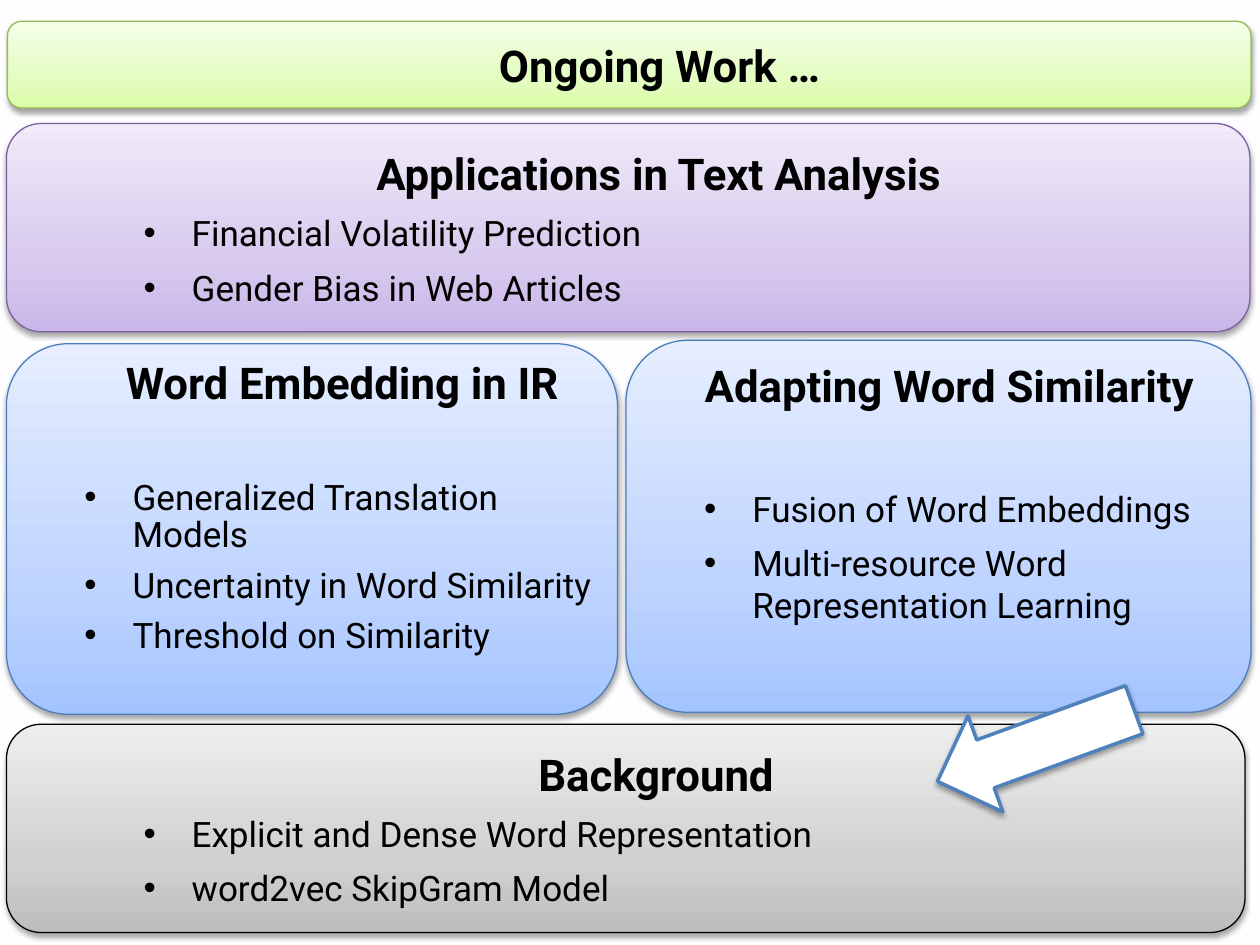
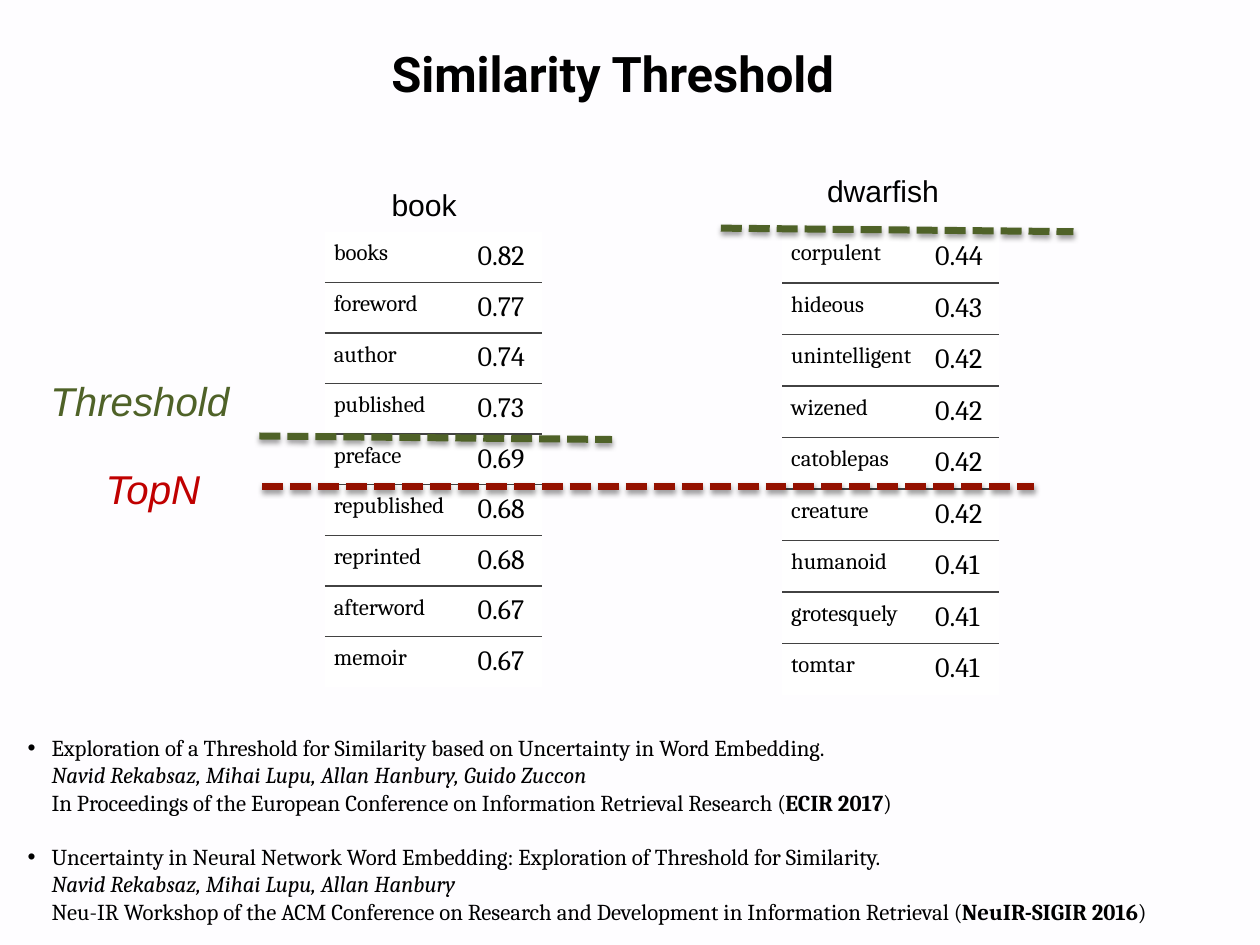
from copy import deepcopy

from lxml import etree
from pptx import Presentation
from pptx.dml.color import RGBColor
from pptx.enum.dml import MSO_LINE
from pptx.enum.shapes import MSO_CONNECTOR, MSO_SHAPE
from pptx.enum.text import MSO_ANCHOR, PP_ALIGN
from pptx.oxml import parse_xml
from pptx.oxml.ns import nsdecls, qn
from pptx.util import Cm, Pt

ROUNDED = MSO_SHAPE.ROUNDED_RECTANGLE
RIGHT_ARROW = MSO_SHAPE.RIGHT_ARROW
STRAIGHT = MSO_CONNECTOR.STRAIGHT
SQUARE_DASH = MSO_LINE.SQUARE_DOT
LEFT, CENTER, RIGHT = PP_ALIGN.LEFT, PP_ALIGN.CENTER, PP_ALIGN.RIGHT
TOP, MIDDLE = MSO_ANCHOR.TOP, MSO_ANCHOR.MIDDLE

BACKGROUND = RGBColor(0xFE, 0xFD, 0xFF)
BLACK = RGBColor(0, 0, 0)
WHITE = RGBColor(0xFF, 0xFF, 0xFF)
ARROW_BLUE = RGBColor(0x4F, 0x81, 0xBD)
RULE_GRAY = RGBColor(0x42, 0x42, 0x42)
THRESHOLD_GREEN = RGBColor(0x4F, 0x62, 0x28)
TOPN_RED = RGBColor(0xC0, 0x00, 0x00)
TOPN_LINE_RED = RGBColor(0x94, 0x11, 0x00)

# Each theme: gradient from bottom to top, then the outline
GRAY = [RGBColor.from_string(c) for c in ("BDBDBD", "D1D1D1", "EEEEEE", "000000")]
BLUE = [RGBColor.from_string(c) for c in ("A4C4FF", "BFD4FF", "E6EEFF", "4B7EBC")]
PURPLE = [RGBColor.from_string(c) for c in ("C9B5E8", "D8CBEE", "F0EAF9", "7D60A0")]
GREEN = [RGBColor.from_string(c) for c in ("DAFDA7", "E4FCC2", "F5FFE7", "98B955")]
GRADIENT_POSITIONS = (0, 0.35, 1)

HEADING_FONT, LABEL_FONT, BODY_FONT = "Roboto", "Arial", "Cambria"
NO_TABLE_STYLE = "{2D5ABB26-0587-4C30-8999-92F81FD0307C}"
ROW_HEIGHT = Cm(1.02)
COLUMN_WIDTHS = (Cm(2.9), Cm(1.47))

BOOK_NEIGHBOURS = [
    ("books", "0.82"), ("foreword", "0.77"), ("author", "0.74"),
    ("published", "0.73"), ("preface", "0.69"), ("republished", "0.68"),
    ("reprinted", "0.68"), ("afterword", "0.67"), ("memoir", "0.67"),
]
DWARFISH_NEIGHBOURS = [
    ("corpulent", "0.44"), ("hideous", "0.43"), ("unintelligent", "0.42"),
    ("wizened", "0.42"), ("catoblepas", "0.42"), ("creature", "0.42"),
    ("humanoid", "0.41"), ("grotesquely", "0.41"), ("tomtar", "0.41"),
]
# Title, authors, venue, short venue name
CITATIONS = [
    ("Exploration of a Threshold for Similarity based on Uncertainty in Word Embedding.",
     "Navid Rekabsaz, Mihai Lupu, Allan Hanbury, Guido Zuccon",
     "In Proceedings of the European Conference on Information Retrieval Research (",
     "ECIR 2017"),
    ("Uncertainty in Neural Network Word Embedding: Exploration of Threshold for Similarity.",
     "Navid Rekabsaz, Mihai Lupu, Allan Hanbury",
     "Neu-IR Workshop of the ACM Conference on Research and Development in "
     "Information Retrieval (",
     "NeuIR-SIGIR 2016"),
]


def add_shadow(shape, opacity=35):
    properties = shape._element.spPr
    for effects in properties.findall(qn("a:effectLst")):
        properties.remove(effects)
    properties.append(parse_xml(
        f'<a:effectLst {nsdecls("a")}><a:outerShdw blurRad="38100" dist="22860" '
        'dir="5400000" rotWithShape="0"><a:srgbClr val="000000">'
        f'<a:alpha val="{opacity * 1000}"/></a:srgbClr></a:outerShdw></a:effectLst>'))


def set_font(font, name, size, color=BLACK, bold=False, italic=False):
    font.name, font.size, font.bold, font.italic = name, Pt(size), bold, italic
    font.color.rgb = color


def set_indent(paragraph, margin, hanging=0, bullet=False):
    properties = paragraph._p.get_or_add_pPr()
    properties.set("marL", str(margin))
    properties.set("indent", str(-hanging))
    if bullet:
        etree.SubElement(properties, qn("a:buFont")).set("typeface", "Arial")
        etree.SubElement(properties, qn("a:buChar")).set("char", "•")


def set_insets(frame, left, top, right, bottom):
    frame.margin_left, frame.margin_top = left, top
    frame.margin_right, frame.margin_bottom = right, bottom


def fill_gradient(shape, colors):
    shape.fill.gradient()
    shape.fill.gradient_angle = 90
    stop_list = shape._element.spPr.find(".//" + qn("a:gsLst"))
    stop_list.append(deepcopy(stop_list[0]))
    for stop, position, color in zip(shape.fill.gradient_stops, GRADIENT_POSITIONS, colors):
        stop.position = position
        stop.color.rgb = color


def add_topic(slide, left, top, width, height, theme, heading, items=(), *,
              alignment=CENTER, anchor=MIDDLE, inset=Cm(0.13), bullet_margin=Cm(3.4),
              first_gap=7, line_spacing=1.0):
    """Rounded panel with a bold heading and bulleted topics."""
    panel = slide.shapes.add_shape(ROUNDED, left, top, width, height)
    fill_gradient(panel, theme)
    panel.line.color.rgb = theme[-1]
    panel.line.width = Pt(0.75)
    add_shadow(panel)
    frame = panel.text_frame
    frame.word_wrap = True
    frame.vertical_anchor = anchor
    set_insets(frame, inset, inset, inset, inset)
    paragraph = frame.paragraphs[0]
    paragraph.text = heading
    paragraph.alignment = alignment
    paragraph.line_spacing = line_spacing
    set_indent(paragraph, Cm(1.22))
    set_font(paragraph.font, HEADING_FONT, 25, bold=True)
    for index, item in enumerate(items):
        paragraph = frame.add_paragraph()
        paragraph.text = item
        paragraph.alignment = LEFT
        paragraph.line_spacing = line_spacing
        paragraph.space_before = Pt(7 if index else first_gap)
        set_indent(paragraph, bullet_margin, Cm(0.97), bullet=True)
        set_font(paragraph.font, HEADING_FONT, 20)


def add_pointer(slide):
    arrow = slide.shapes.add_shape(RIGHT_ARROW, Cm(18.77), Cm(14), Cm(4.22), Cm(2.06))
    arrow.rotation = 160
    arrow.fill.solid()
    arrow.fill.fore_color.rgb = WHITE
    arrow.line.color.rgb = ARROW_BLUE
    arrow.line.width = Pt(2)
    add_shadow(arrow)


def add_label(slide, text, left, top, width, height, size, color=BLACK,
              alignment=CENTER, italic=False):
    frame = slide.shapes.add_textbox(left, top, width, height).text_frame
    frame.word_wrap = True
    set_insets(frame, *[Cm(0.15)] * 4)
    paragraph = frame.paragraphs[0]
    paragraph.text = text
    paragraph.alignment = alignment
    set_font(paragraph.font, LABEL_FONT, size, color, italic=italic)


def add_dashed_line(slide, start_x, start_y, end_x, end_y, color):
    line = slide.shapes.add_connector(STRAIGHT, start_x, start_y, end_x, end_y)
    line.line.color.rgb = color
    line.line.width = Pt(4)
    line.line.dash_style = SQUARE_DASH
    add_shadow(line, 38)


def rule_cell(cell, edges):
    properties = cell._tc.get_or_add_tcPr()
    for position, edge in enumerate(edges):
        properties.insert(position, parse_xml(
            f'<a:{edge} {nsdecls("a")} w="12700"><a:solidFill>'
            f'<a:srgbClr val="{RULE_GRAY}"/></a:solidFill></a:{edge}>'))


def add_neighbour_table(slide, left, top, neighbours):
    """Words and their similarities, with rules only between the rows."""
    table = slide.shapes.add_table(len(neighbours), 2, left, top, sum(COLUMN_WIDTHS),
                                   ROW_HEIGHT * len(neighbours)).table
    table.first_row = table.horz_banding = False
    table._tbl.tblPr.find(qn("a:tableStyleId")).text = NO_TABLE_STYLE
    for column, width in zip(table.columns, COLUMN_WIDTHS):
        column.width = width
    last_row = len(neighbours) - 1
    for row_index, neighbour in enumerate(neighbours):
        table.rows[row_index].height = ROW_HEIGHT
        edges = ["lnT"] * (row_index > 0) + ["lnB"] * (row_index < last_row)
        for column_index, (text, size) in enumerate(zip(neighbour, (13, 16))):
            cell = table.cell(row_index, column_index)
            cell.fill.solid()
            cell.fill.fore_color.rgb = WHITE
            rule_cell(cell, edges)
            set_insets(cell, *[Cm(0.18)] * 4)
            paragraph = cell.text_frame.paragraphs[0]
            paragraph.text = text
            set_font(paragraph.font, BODY_FONT, size)


def add_citations(slide):
    frame = slide.shapes.add_textbox(Cm(0.36), Cm(14.66), Cm(23.6), Cm(4.14)).text_frame
    frame.word_wrap = True
    set_insets(frame, Cm(0.2), Cm(0.13), Cm(0.3), Cm(0.13))
    margin = Cm(0.48)
    for index, (title, authors, venue, short_name) in enumerate(CITATIONS):
        paragraph = frame.add_paragraph() if index else frame.paragraphs[0]
        paragraph.text = title
        if index:
            paragraph.space_before = Pt(15.5)
        set_indent(paragraph, margin, margin, bullet=True)
        set_font(paragraph.font, BODY_FONT, 13)

        paragraph = frame.add_paragraph()
        paragraph.text = authors
        set_indent(paragraph, margin)
        set_font(paragraph.font, BODY_FONT, 13, italic=True)

        paragraph = frame.add_paragraph()
        set_indent(paragraph, margin)
        for text in (venue, short_name, ")"):
            run = paragraph.add_run()
            run.text = text
            set_font(run.font, BODY_FONT, 13, bold=text == short_name)


def build_overview(presentation):
    slide = presentation.slides.add_slide(presentation.slide_layouts.get_by_name("Blank"))
    columns = dict(anchor=TOP, inset=0, bullet_margin=Cm(2.18))
    add_topic(slide, Cm(0.13), Cm(14.6), Cm(24.97), Cm(4.2), GRAY, "Background",
              ["Explicit and Dense Word Representation", "word2vec SkipGram Model"])
    add_topic(slide, Cm(0.13), Cm(6.93), Cm(12.32), Cm(7.47), BLUE, "Word Embedding in IR",
              ["Generalized Translation Models", "Uncertainty in Word Similarity",
               "Threshold on Similarity"],
              first_gap=40.5, line_spacing=0.9, **columns)
    add_topic(slide, Cm(12.62), Cm(6.86), Cm(12.6), Cm(7.5), BLUE, "Adapting Word Similarity",
              ["Fusion of Word Embeddings", "Multi-resource Word Representation Learning"],
              alignment=LEFT, first_gap=43.5, **columns)
    add_topic(slide, Cm(0.13), Cm(2.49), Cm(25.07), Cm(4.2), PURPLE,
              "Applications in Text Analysis",
              ["Financial Volatility Prediction", "Gender Bias in Web Articles"])
    add_topic(slide, Cm(0.15), Cm(0.43), Cm(25.07), Cm(1.75), GREEN, "Ongoing Work …")
    add_pointer(slide)


def build_threshold(presentation):
    slide = presentation.slides.add_slide(presentation.slide_layouts.get_by_name("Title Only"))
    title = slide.shapes.title
    title.left, title.top, title.width, title.height = Cm(0.36), Cm(0.66), Cm(23.98), Cm(1.6)
    title.text_frame.vertical_anchor = MIDDLE
    paragraph = title.text_frame.paragraphs[0]
    paragraph.text = "Similarity Threshold"
    paragraph.alignment = CENTER
    set_font(paragraph.font, HEADING_FONT, 28, bold=True)

    add_neighbour_table(slide, Cm(6.55), Cm(4.67), BOOK_NEIGHBOURS)
    add_label(slide, "book", Cm(6.5), Cm(3.6), Cm(4.1), Cm(1.1), 17.2)
    add_neighbour_table(slide, Cm(15.77), Cm(4.67), DWARFISH_NEIGHBOURS)
    add_label(slide, "dwarfish", Cm(15.75), Cm(3.33), Cm(4.1), Cm(1.1), 17.2)

    add_dashed_line(slide, Cm(5.28), Cm(9.8), Cm(20.85), Cm(9.8), TOPN_LINE_RED)
    add_dashed_line(slide, Cm(5.23), Cm(8.79), Cm(12.34), Cm(8.86), THRESHOLD_GREEN)
    add_dashed_line(slide, Cm(14.53), Cm(4.6), Cm(21.64), Cm(4.67), THRESHOLD_GREEN)
    add_label(slide, "TopN", Cm(1.07), Cm(9.22), Cm(3.12), Cm(1.5), 23, TOPN_RED, RIGHT, True)
    add_label(slide, "Threshold", 0, Cm(7.44), Cm(4.78), Cm(1.5), 23,
              THRESHOLD_GREEN, RIGHT, True)
    add_citations(slide)


def main():
    presentation = Presentation()
    presentation.slide_width, presentation.slide_height = Cm(25.4), Cm(19.05)
    master_fill = presentation.slide_master.background.fill
    master_fill.solid()
    master_fill.fore_color.rgb = BACKGROUND
    build_overview(presentation)
    build_threshold(presentation)
    presentation.save("out.pptx")


if __name__ == "__main__":
    main()
